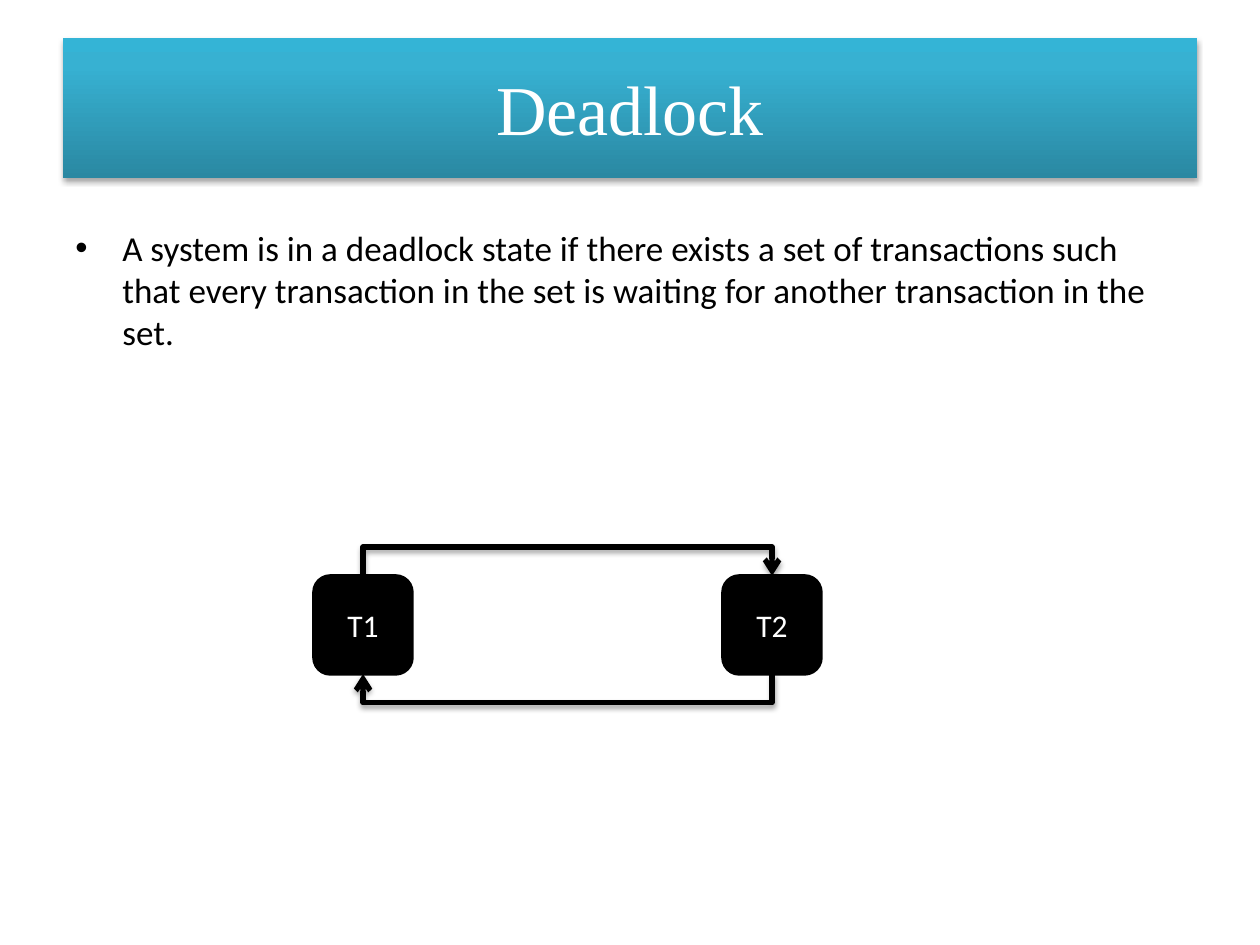
from dataclasses import dataclass

from lxml.etree import SubElement
from copy import deepcopy
from pptx import Presentation
from pptx.dml.color import RGBColor
from pptx.enum.shapes import MSO_CONNECTOR, MSO_SHAPE
from pptx.enum.text import MSO_ANCHOR, PP_ALIGN
from pptx.oxml.ns import qn
from pptx.shapes.autoshape import Shape
from pptx.shapes.connector import Connector
from pptx.slide import Slide
from pptx.util import Emu, Pt

BLACK = RGBColor(0x00, 0x00, 0x00)
WHITE = RGBColor(0xFF, 0xFF, 0xFF)
DEEP = RGBColor(0x2A, 0x88, 0xA2)
MID = RGBColor(0x37, 0xB1, 0xD2)
LIGHT = RGBColor(0x34, 0xB4, 0xD6)

SCALE = 914400 / 126
SIDE = 98
TOP = 577
RISE = 32
HAIR = Emu(1588)


@dataclass
class Node:
    name: str
    left: int


@dataclass
class Link:
    start: int
    end: int
    site: int
    flip: bool


NODES = [Node("T1", 314), Node("T2", 723)]
LINKS = [Link(0, 1, 0, True), Link(1, 0, 2, False)]


def px(size: float) -> Emu:
    return Emu(round(size * SCALE))


def write(shape: Shape, text: str, size: int, face: str, color: RGBColor,
          align: PP_ALIGN, anchor: MSO_ANCHOR) -> None:
    frame = shape.text_frame
    frame.word_wrap = True
    frame.vertical_anchor = anchor
    para = frame.paragraphs[0]
    para.alignment = align
    run = para.add_run()
    run.text = text
    run.font.size = Pt(size)
    run.font.name = face
    run.font.color.rgb = color


def shade(shape: Shape | Connector) -> None:
    props = shape._element.spPr
    effects = props.find(qn("a:effectLst"))
    if effects is None:
        effects = SubElement(props, qn("a:effectLst"))
    outer = SubElement(effects, qn("a:outerShdw"), blurRad=str(Pt(3.1)),
                       dist=str(Pt(1.8)), dir="5400000", rotWithShape="0")
    color = SubElement(outer, qn("a:srgbClr"), val=str(BLACK))
    SubElement(color, qn("a:alpha"), val="35000")


def add_title(slide: Slide) -> None:
    bar = slide.shapes.add_shape(MSO_SHAPE.RECTANGLE, px(63), px(38), px(1134), px(140))
    bar.shadow.inherit = False
    bar.line.fill.background()
    bar.fill.gradient()
    bar.fill.gradient_angle = 90
    stops = bar._element.spPr.find(qn("a:gradFill")).find(qn("a:gsLst"))
    stops.append(deepcopy(stops[0]))
    tints = [(0, DEEP), (0.8, MID), (1, LIGHT)]
    for stop, (place, color) in zip(bar.fill.gradient_stops, tints):
        stop.position = place
        stop.color.rgb = color
    shade(bar)
    write(bar, "Deadlock", 40, "Times New Roman", WHITE, PP_ALIGN.CENTER, MSO_ANCHOR.MIDDLE)


def add_body(slide: Slide) -> None:
    box = slide.shapes.add_textbox(px(63), px(220), px(1134), px(168))
    props = box.text_frame.paragraphs[0]._p.get_or_add_pPr()
    props.set("marL", str(px(47)))
    props.set("indent", str(-px(47)))
    SubElement(props, qn("a:buFont"), typeface="Arial")
    SubElement(props, qn("a:buChar"), char="•")
    write(box, "A system is in a deadlock state if there exists a set of transactions "
          "such that every transaction in the set is waiting for another transaction "
          "in the set.", 20, "Calibri", BLACK, PP_ALIGN.LEFT, MSO_ANCHOR.TOP)


def add_node(slide: Slide, node: Node) -> Shape:
    box = slide.shapes.add_shape(MSO_SHAPE.ROUNDED_RECTANGLE, px(node.left), px(TOP - 1),
                                 px(SIDE), px(SIDE))
    box.shadow.inherit = False
    box.fill.solid()
    box.fill.fore_color.rgb = BLACK
    box.line.color.rgb = BLACK
    box.line.width = Pt(2)
    write(box, node.name, 18, "Calibri", WHITE, PP_ALIGN.CENTER, MSO_ANCHOR.MIDDLE)
    return box


def add_link(slide: Slide, link: Link, boxes: list[Shape]) -> None:
    start, end = boxes[link.start], boxes[link.end]
    wire = slide.shapes.add_connector(MSO_CONNECTOR.ELBOW, 0, 0, 0, 0)
    wire.begin_connect(start, link.site)
    wire.end_connect(end, link.site)
    span = abs(end.left - start.left)
    level = start.top + (start.height if link.site == 2 else 0)
    center = (start.left + end.left + start.width) // 2
    wire.left, wire.top = Emu(center - HAIR // 2), Emu(level - span // 2)
    wire.width, wire.height = HAIR, Emu(span)
    props = wire._element.spPr
    frame = props.find(qn("a:xfrm"))
    frame.set("rot", "5400000")
    for axis in ("flipH", "flipV"):
        frame.set(axis, str(int(link.flip)))
    guides = props.find(qn("a:prstGeom")).find(qn("a:avLst"))
    bend = round(px(RISE) / HAIR * 100000)
    SubElement(guides, qn("a:gd"), name="adj1", fmla=f"val {bend}")
    wire.line.color.rgb = BLACK
    wire.line.width = Pt(3)
    SubElement(props.find(qn("a:ln")), qn("a:tailEnd"), type="arrow")
    shade(wire)


def main() -> None:
    deck = Presentation()
    deck.slide_width, deck.slide_height = px(1260), px(945)
    slide = deck.slides.add_slide(deck.slide_layouts[6])
    add_title(slide)
    add_body(slide)
    boxes = [add_node(slide, node) for node in NODES]
    for link in LINKS:
        add_link(slide, link, boxes)
    deck.save("out.pptx")


if __name__ == "__main__":
    main()
